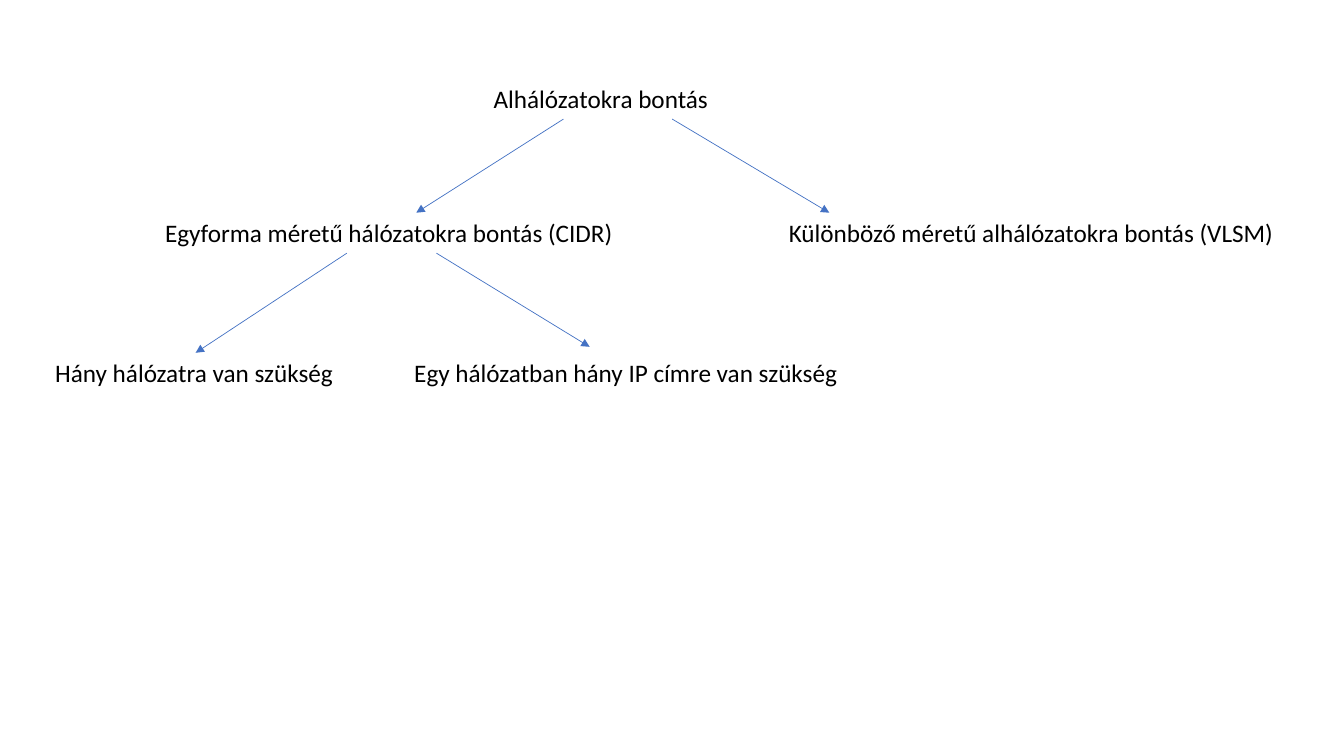
"""Build a slide with a tree of the ways to split a network into subnets."""
import lxml.etree
import pptx
import pptx.dml.color
import pptx.enum.shapes
import pptx.enum.text
import pptx.oxml.ns
import pptx.util

Cm = pptx.util.Cm
BLACK = pptx.dml.color.RGBColor(0x00, 0x00, 0x00)
BLUE = pptx.dml.color.RGBColor(0x44, 0x72, 0xC4)

LABEL_HEIGHT = 1.02
ROOT_TOP, METHOD_TOP, QUESTION_TOP = 1.98, 5.36, 8.89
ROOT_BOTTOM = ROOT_TOP + LABEL_HEIGHT
METHOD_BOTTOM = METHOD_TOP + LABEL_HEIGHT

LABELS = [
    ("Alhálózatokra bontás", 12.19, ROOT_TOP, 5.97),
    ("Egyforma méretű hálózatokra bontás (CIDR)", 3.91, METHOD_TOP, 11.91),
    ("Különböző méretű alhálózatokra bontás (VLSM)", 19.63, METHOD_TOP, 12.88),
    ("Hány hálózatra van szükség", 1.14, QUESTION_TOP, 7.59),
    ("Egy hálózatban hány IP címre van szükség", 10.19, QUESTION_TOP, 11.3),
]
ARROWS = [
    (14.2, ROOT_BOTTOM, 10.49, METHOD_TOP),
    (16.94, ROOT_BOTTOM, 20.9, METHOD_TOP),
    (8.74, METHOD_BOTTOM, 4.93, QUESTION_TOP),
    (11, METHOD_BOTTOM, 14.86, 8.74),
]


class TreeSlide:
    def __init__(self, slide):
        self.slide = slide
        self.font_name = "Calibri"
        self.font_size = pptx.util.Pt(18)
        self.line_width = pptx.util.Pt(0.5)

    def add_label(self, text, left, top, width):
        shape = self.slide.shapes.add_textbox(
            Cm(left), Cm(top), Cm(width), Cm(LABEL_HEIGHT))
        frame = shape.text_frame
        frame.word_wrap = False
        frame.auto_size = pptx.enum.text.MSO_AUTO_SIZE.SHAPE_TO_FIT_TEXT
        run = frame.paragraphs[0].add_run()
        run.text = text
        run.font.name = self.font_name
        run.font.size = self.font_size
        run.font.color.rgb = BLACK

    def add_arrow(self, start_x, start_y, end_x, end_y):
        connector = self.slide.shapes.add_connector(
            pptx.enum.shapes.MSO_CONNECTOR.STRAIGHT,
            Cm(start_x), Cm(start_y), Cm(end_x), Cm(end_y))
        connector.line.color.rgb = BLUE
        connector.line.width = self.line_width
        qualified = pptx.oxml.ns.qn
        properties = connector.element.spPr
        line = properties.find(qualified("a:ln"))
        lxml.etree.SubElement(line, qualified("a:tailEnd"), type="triangle")
        lxml.etree.SubElement(properties, qualified("a:effectLst"))


presentation = pptx.Presentation()
presentation.slide_width = Cm(33.87)
presentation.slide_height = Cm(19.05)
blank_layout = presentation.slide_layouts.get_by_name("Blank")
tree = TreeSlide(presentation.slides.add_slide(blank_layout))
for label in LABELS:
    tree.add_label(*label)
for arrow in ARROWS:
    tree.add_arrow(*arrow)
presentation.save("out.pptx")
